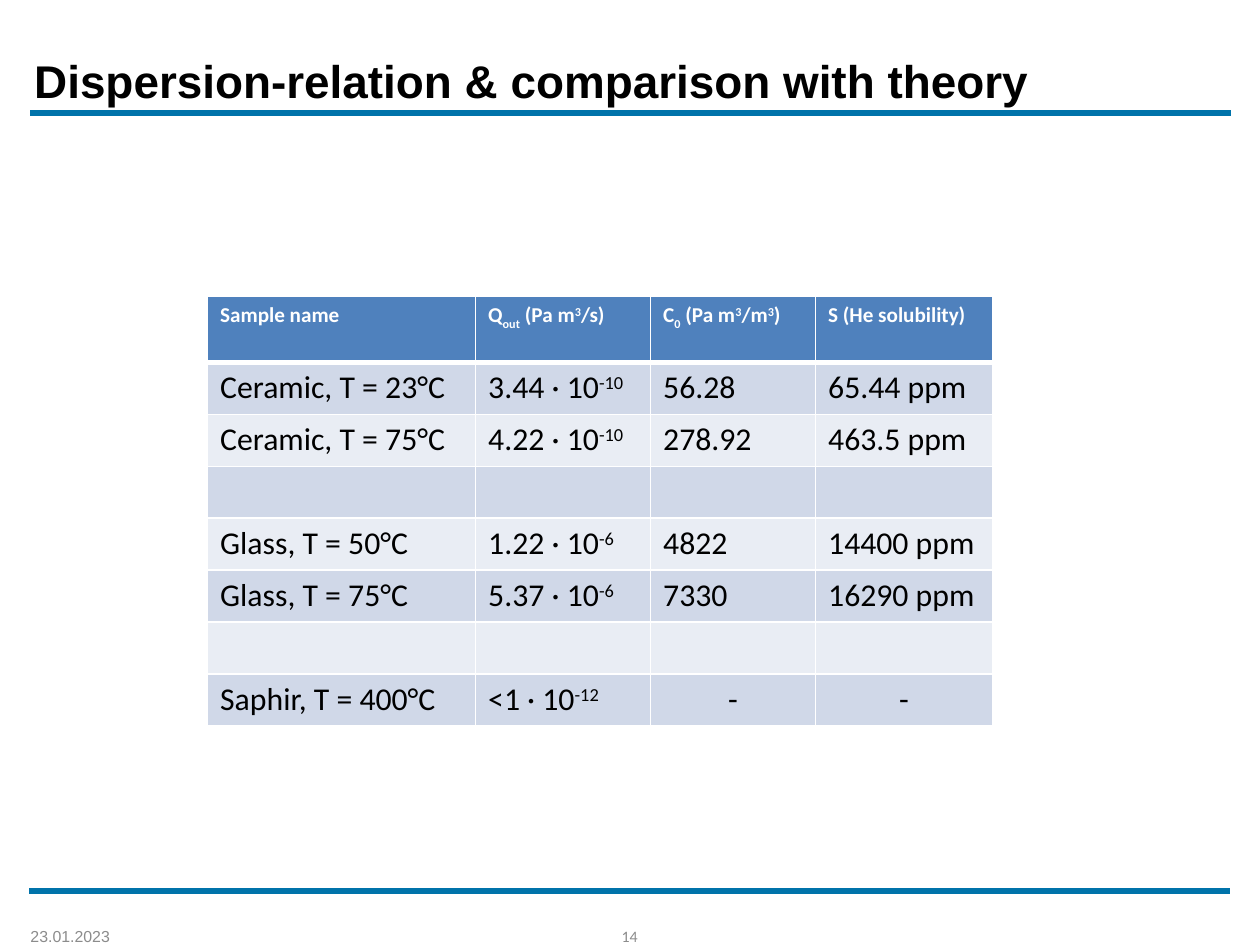
from lxml import etree
from pptx import Presentation
from pptx.dml.color import RGBColor
from pptx.enum.shapes import MSO_CONNECTOR
from pptx.enum.text import MSO_ANCHOR as ANCHOR, PP_ALIGN as ALIGN
from pptx.oxml.ns import qn
from pptx.util import Cm, Pt

BLACK = RGBColor(0x00, 0x00, 0x00)
WHITE = RGBColor(0xFF, 0xFF, 0xFF)
GREY = RGBColor(0x8C, 0x8C, 0x8C)
RULE_BLUE = RGBColor(0x00, 0x73, 0xAA)
HEADER_BLUE = RGBColor(0x4F, 0x81, 0xBD)
BANDS = (RGBColor(0xD0, 0xD8, 0xE8), RGBColor(0xE9, 0xED, 0xF4))

BASELINES = {"^": "30000", "_": "-25000"}

# "|" separates runs; a run led by ^ or _ is raised or lowered
HEADER = ["Sample name", "Q|_out| (Pa m|^3|/s)", "C|_0| (Pa m|^3|/m|^3|)", "S (He solubility)"]
SAMPLES = [
    ["Ceramic, T = 23°C", "3.44 · 10|^-10", "56.28", "65.44 ppm"],
    ["Ceramic, T = 75°C", "4.22 · 10|^-10", "278.92", "463.5 ppm"],
    [""] * 4,
    ["Glass, T = 50°C", "1.22 · 10|^-6", "4822", "14400 ppm"],
    ["Glass, T = 75°C", "5.37 · 10|^-6", "7330", "16290 ppm"],
    [""] * 4,
    ["Saphir, T = 400°C", "<1 · 10|^-12", "-", "-"],
]
COLUMN_WIDTHS = (5.36, 3.5, 3.3, 3.54)
HEADER_HEIGHT, ROW_HEIGHT = 1.32, 1.04


def write(tf, text, size=18, font="Calibri", color=BLACK, bold=False, align=ALIGN.LEFT):
    """Fill a text frame with one formatted paragraph."""
    p = tf.paragraphs[0]
    p.alignment = align
    for part in filter(None, text.split("|")):
        r = p.add_run()
        r.text = part.lstrip("^_")
        r.font.size, r.font.name, r.font.bold = Pt(size), font, bold
        r.font.color.rgb = color
        if part[0] in BASELINES:
            r.font._element.set("baseline", BASELINES[part[0]])


def add_rule(s, left, top, width):
    line = s.shapes.add_connector(MSO_CONNECTOR.STRAIGHT, Cm(left), Cm(top),
                                  Cm(left + width), Cm(top))
    line.line.color.rgb = RULE_BLUE
    line.line.width = Pt(3)
    etree.SubElement(line._element.spPr, qn("a:effectLst"))


def add_label(s, text, left, top, width, height, **fmt):
    tf = s.shapes.add_textbox(Cm(left), Cm(top), Cm(width), Cm(height)).text_frame
    tf.word_wrap = True
    tf.vertical_anchor = ANCHOR.MIDDLE
    write(tf, text, size=9, color=GREY, **fmt)


def set_borders(cell, thick_side=None):
    tcPr = cell._tc.get_or_add_tcPr()
    for side in "LRTB":
        width = Pt(3 if side == thick_side else 1)
        ln = etree.SubElement(tcPr, qn("a:ln" + side), w=str(width))
        fill = etree.SubElement(ln, qn("a:solidFill"))
        etree.SubElement(fill, qn("a:srgbClr"), val=str(WHITE))


def add_title(s, left, top, width, height):
    title = s.shapes.title
    title.left, title.top, title.width, title.height = map(Cm, (left, top, width, height))
    tf = title.text_frame
    tf.word_wrap = True
    tf.vertical_anchor = ANCHOR.MIDDLE
    write(tf, "Dispersion-relation & comparison with theory", size=26, font="Arial", bold=True)
    add_rule(s, left + 0.17, top + 1.73, 24.02)


def add_sample_table(s, left, top):
    rows = [HEADER] + SAMPLES
    table = s.shapes.add_table(len(rows), len(HEADER), Cm(left), Cm(top),
                               Cm(sum(COLUMN_WIDTHS)),
                               Cm(HEADER_HEIGHT + ROW_HEIGHT * len(SAMPLES))).table
    for column, width in zip(table.columns, COLUMN_WIDTHS):
        column.width = Cm(width)
    for i, texts in enumerate(rows):
        is_header = i == 0
        table.rows[i].height = Cm(HEADER_HEIGHT if is_header else ROW_HEIGHT)
        for cell, text in zip(table.rows[i].cells, texts):
            set_borders(cell, "B" if is_header else None)
            cell.fill.solid()
            cell.fill.fore_color.rgb = HEADER_BLUE if is_header else BANDS[(i - 1) % 2]
            write(cell.text_frame, text, size=12 if is_header else 18, bold=is_header,
                  color=WHITE if is_header else BLACK,
                  align=ALIGN.CENTER if text == "-" else ALIGN.LEFT)


def add_footer(s, left, top):
    add_rule(s, left + 0.22, top, 24.02)
    add_label(s, "23.01.2023", left, top + 0.58, 10.92, 0.64, font="Arial")
    add_label(s, "14", left + 11.45, top + 0.58, 1.57, 0.64, align=ALIGN.CENTER)


def main():
    prs = Presentation()
    prs.slide_width, prs.slide_height = Cm(25.2), Cm(19.05)
    s = prs.slides.add_slide(prs.slide_layouts[5])
    add_title(s, 0.43, 0.53, 21.72, 2.16)
    add_sample_table(s, 4.15, 5.93)
    add_footer(s, 0.36, 17.83)
    prs.save("out.pptx")


if __name__ == "__main__":
    main()
